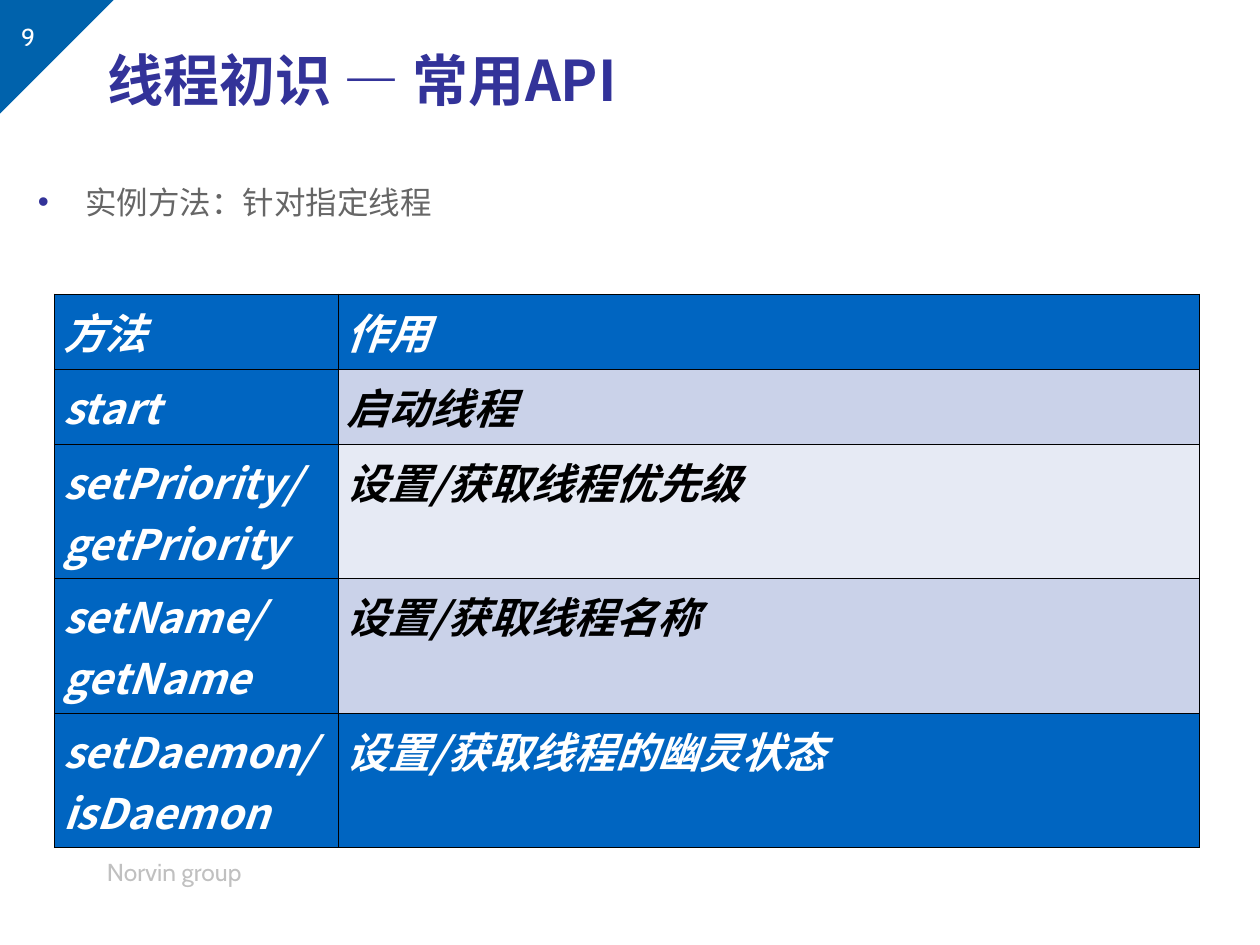
import pptx
import pptx.dml.color
import pptx.enum.shapes
import pptx.enum.text
import pptx.oxml
import pptx.oxml.ns
import pptx.util
import lxml.etree

Pt = pptx.util.Pt
RGBColor = pptx.dml.color.RGBColor
qn = pptx.oxml.ns.qn
ANCHOR = pptx.enum.text.MSO_ANCHOR

WHITE = RGBColor(0xFF, 0xFF, 0xFF)
BLACK = RGBColor(0x00, 0x00, 0x00)
CORNER_BLUE = RGBColor(0x00, 0x62, 0xAC)
TABLE_BLUE = RGBColor(0x00, 0x65, 0xC1)
BAND_DARK = RGBColor(0xCA, 0xD2, 0xE9)
BAND_LIGHT = RGBColor(0xE6, 0xEA, 0xF4)
INDIGO = RGBColor(0x33, 0x33, 0x99)
BODY_GREY = RGBColor(0x66, 0x66, 0x66)
FOOTER_GREY = RGBColor(0xC0, 0xC0, 0xC0)

LATIN_FONT = "Cabin"
CJK_FONT = "Noto Sans CJK SC"

METHODS = [
    ("方法", "作用", TABLE_BLUE, WHITE),
    ("start", "启动线程", BAND_DARK, BLACK),
    ("setPriority/getPriority", "设置/获取线程优先级", BAND_LIGHT, BLACK),
    ("setName/getName", "设置/获取线程名称", BAND_DARK, BLACK),
    ("setDaemon/isDaemon", "设置/获取线程的幽灵状态", TABLE_BLUE, WHITE),
]
COLUMN_WIDTHS = [162.3, 492]
ROW_HEIGHTS = [43, 43, 76.8, 76.8, 76.8]


def write_text(frame, text, size, color, font=LATIN_FONT, bold=False,
               italic=False, anchor=ANCHOR.TOP):
    """Fill a text frame with one left-aligned run and return its paragraph."""
    frame.word_wrap = True
    frame.vertical_anchor = anchor
    paragraph = frame.paragraphs[0]
    paragraph.alignment = pptx.enum.text.PP_ALIGN.LEFT
    paragraph.space_before = Pt(0)
    run = paragraph.add_run()
    run.text = text
    run.font.size = Pt(size)
    run.font.bold = bold
    run.font.italic = italic
    run.font.color.rgb = color
    run.font.name = font
    east_asian = lxml.etree.SubElement(run.font._element, qn("a:ea"))
    east_asian.set("typeface", CJK_FONT)
    return paragraph


def place(placeholder, left, top, width, height):
    """Move a placeholder and keep its text at full size."""
    placeholder.left, placeholder.top = Pt(left), Pt(top)
    placeholder.width, placeholder.height = Pt(width), Pt(height)
    placeholder.text_frame.auto_size = pptx.enum.text.MSO_AUTO_SIZE.NONE
    return placeholder.text_frame


def add_label(slide, text, left, top, width, height, **style):
    """Add a text box with one line of text."""
    label = slide.shapes.add_textbox(Pt(left), Pt(top), Pt(width), Pt(height))
    write_text(label.text_frame, text, **style)


def add_corner(slide, side):
    """Add the triangle that fills the top left corner."""
    corner = slide.shapes.add_shape(
        pptx.enum.shapes.MSO_SHAPE.RIGHT_TRIANGLE, 0, 0, Pt(side), Pt(side))
    corner.rotation = 90
    corner.shadow.inherit = False
    corner.fill.solid()
    corner.fill.fore_color.rgb = CORNER_BLUE
    corner.line.fill.background()


def add_bullet(paragraph, color, indent):
    """Give a paragraph a coloured round bullet with a hanging indent."""
    properties = paragraph._p.get_or_add_pPr()
    properties.set("marL", str(Pt(indent)))
    properties.set("indent", str(-Pt(indent)))
    bullet_color = lxml.etree.SubElement(properties, qn("a:buClr"))
    lxml.etree.SubElement(bullet_color, qn("a:srgbClr")).set("val", str(color))
    lxml.etree.SubElement(properties, qn("a:buChar")).set("char", "•")


def set_borders(cell, color, width):
    """Draw the same line on all four sides of a cell."""
    properties = cell._tc.get_or_add_tcPr()
    for position, side in enumerate(("lnL", "lnR", "lnT", "lnB")):
        border = pptx.oxml.parse_xml(
            f'<a:{side} {pptx.oxml.ns.nsdecls("a")} w="{Pt(width)}">'
            f'<a:solidFill><a:srgbClr val="{color}"/></a:solidFill></a:{side}>')
        properties.insert(position, border)


def fill_cell(cell, text, background, color):
    """Format one table cell and write its text."""
    cell.margin_left = cell.margin_right = Pt(5)
    cell.margin_top = cell.margin_bottom = Pt(3.6)
    set_borders(cell, BLACK, 0.45)
    cell.fill.solid()
    cell.fill.fore_color.rgb = background
    write_text(cell.text_frame, text, size=24, color=color, font=CJK_FONT,
               bold=True, italic=True)


def add_method_table(slide, left, top):
    """Add the table of thread methods and what they do."""
    methods = slide.shapes.add_table(
        len(METHODS), len(COLUMN_WIDTHS), Pt(left), Pt(top),
        Pt(sum(COLUMN_WIDTHS)), Pt(sum(ROW_HEIGHTS))).table
    for column, width in zip(methods.columns, COLUMN_WIDTHS):
        column.width = Pt(width)
    for row, height, entry in zip(methods.rows, ROW_HEIGHTS, METHODS):
        method, purpose, background, color = entry
        row.height = Pt(height)
        fill_cell(row.cells[0], method, TABLE_BLUE, WHITE)
        fill_cell(row.cells[1], purpose, background, color)


def main():
    """Build the slide and save it."""
    deck = pptx.Presentation()
    deck.slide_width, deck.slide_height = Pt(720), Pt(540)
    slide = deck.slides.add_slide(deck.slide_layouts[1])

    add_corner(slide, 65)
    add_label(slide, "9", 5, 9, 168, 22, size=14, color=WHITE)
    add_label(slide, "Norvin group", 54, 486, 102, 22, size=14,
              color=FOOTER_GREY)

    heading = place(slide.shapes.title, 54, 0, 630, 90)
    write_text(heading, "线程初识 — 常用API", size=32, color=INDIGO,
               font=CJK_FONT, bold=True, anchor=ANCHOR.MIDDLE)

    summary = place(slide.placeholders[1], 14.4, 90, 692, 394.6)
    point = write_text(summary, "实例方法：针对指定线程", size=18,
                       color=BODY_GREY)
    add_bullet(point, INDIGO, 27)
    point.line_spacing = 1.5

    add_method_table(slide, 31, 168)
    deck.save("out.pptx")


if __name__ == "__main__":
    main()
